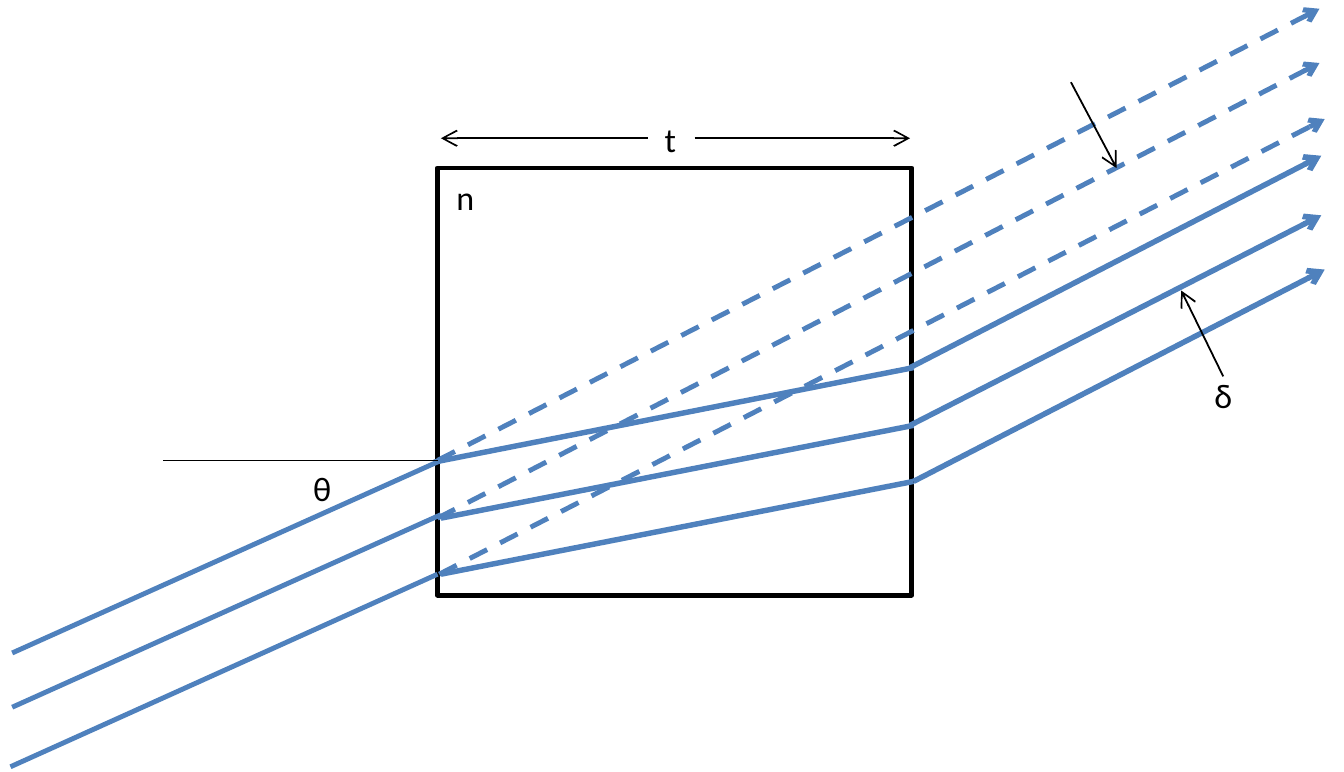
import math
from dataclasses import dataclass

import pptx
import pptx.dml.color
import pptx.enum.dml
import pptx.enum.shapes
import pptx.enum.text
import pptx.oxml.ns
import pptx.util
from lxml import etree
from pptx.util import Inches

COLORS = {"ray": "4F81BD", "ink": "000000", "glass": "FFFFFF"}


@dataclass
class Style:
    color: str
    width: float
    tip: bool = False
    dash: bool = False


@dataclass
class Line:
    x1: float
    y1: float
    x2: float
    y2: float


@dataclass
class Label:
    text: str
    left: float
    top: float
    width: float = 0.31


GROUPS = [
    # undeviated rays
    (Style("ray", 2, tip=True, dash=True), [
        Line(2.5, 2.63, 7.54, 0.05),
        Line(2.5, 2.96, 7.54, 0.36),
        Line(2.51, 3.28, 7.57, 0.68),
    ]),
    # incoming rays
    (Style("ray", 2), [
        Line(0.07, 3.73, 2.52, 2.63),
        Line(0.07, 4.04, 2.52, 2.94),
        Line(0.06, 4.38, 2.5, 3.28),
    ]),
    # rays inside the glass
    (Style("ray", 2.25), [
        Line(2.48, 2.64, 5.22, 2.1),
        Line(2.52, 2.96, 5.22, 2.43),
        Line(2.52, 3.28, 5.22, 2.75),
    ]),
    # outgoing rays
    (Style("ray", 2.25, tip=True), [
        Line(5.2, 2.1, 7.55, 0.89),
        Line(5.2, 2.43, 7.55, 1.23),
        Line(5.22, 2.75, 7.57, 1.54),
    ]),
    # surface normal
    (Style("ink", 0.75), [Line(2.5, 2.63, 0.93, 2.63)]),
    # thickness and shift arrows
    (Style("ink", 0.75, tip=True), [
        Line(3.7, 0.79, 2.52, 0.79),
        Line(3.97, 0.79, 5.2, 0.79),
        Line(6.12, 0.47, 6.38, 0.96),
        Line(6.99, 2.15, 6.75, 1.66),
    ]),
]

LABELS = [
    Label("θ", 1.69, 2.62),
    Label("n", 2.51, 0.96),
    Label("δ", 6.84, 2.09),
    Label("t", 3.7, 0.63, 0.27),
]


def tint(name: str) -> pptx.dml.color.RGBColor:
    return pptx.dml.color.RGBColor.from_string(COLORS[name])


def stroke(shape, style: Style) -> None:
    """Set the outline of a shape or connector."""
    shape.line.color.rgb = tint(style.color)
    shape.line.width = pptx.util.Pt(style.width)
    if style.dash:
        shape.line.dash_style = pptx.enum.dml.MSO_LINE.DASH
    if style.tip:
        qn = pptx.oxml.ns.qn
        edge = shape._element.spPr.find(qn("a:ln"))
        etree.SubElement(edge, qn("a:tailEnd"), type="arrow")


def draw_glass(shapes) -> None:
    glass = shapes.add_shape(
        pptx.enum.shapes.MSO_SHAPE.RECTANGLE,
        Inches(2.5), Inches(0.96), Inches(2.71), Inches(2.44))
    glass.shadow.inherit = False
    glass.fill.solid()
    glass.fill.fore_color.rgb = tint("glass")
    stroke(glass, Style("ink", 2))


def draw_line(shapes, line: Line, style: Style) -> None:
    link = shapes.add_connector(
        pptx.enum.shapes.MSO_CONNECTOR.STRAIGHT,
        Inches(line.x1), Inches(line.y1), Inches(line.x2), Inches(line.y2))
    stroke(link, style)
    etree.SubElement(link._element.spPr, pptx.oxml.ns.qn("a:effectLst"))


def draw_angle(shapes) -> None:
    """Draw the arc from the surface normal to the top incoming ray."""
    x, y, radius, sweep, steps = 2.5, 2.63, 0.53, 23, 12
    turns = [math.radians(sweep * i / steps) for i in range(steps + 1)]
    points = [(x - radius * math.cos(a), y + radius * math.sin(a))
              for a in turns]
    build = shapes.build_freeform(*points[0], scale=float(Inches(1)))
    build.add_line_segments(points[1:], close=False)
    arc = build.convert_to_shape()
    arc.shadow.inherit = False
    arc.fill.background()
    stroke(arc, Style("ink", 1))


def draw_label(shapes, label: Label) -> None:
    box = shapes.add_textbox(Inches(label.left), Inches(label.top),
                             Inches(label.width), Inches(0.34))
    frame = box.text_frame
    frame.word_wrap = False
    frame.auto_size = pptx.enum.text.MSO_AUTO_SIZE.SHAPE_TO_FIT_TEXT
    run = frame.paragraphs[0].add_run()
    run.text = label.text
    run.font.name = "Calibri"
    run.font.size = pptx.util.Pt(14)
    run.font.color.rgb = tint("ink")


def main() -> None:
    deck = pptx.Presentation()
    deck.slide_width = Inches(7.68)
    deck.slide_height = Inches(4.41)
    shapes = deck.slides.add_slide(deck.slide_layouts[6]).shapes
    draw_glass(shapes)
    for style, lines in GROUPS:
        for line in lines:
            draw_line(shapes, line, style)
    draw_angle(shapes)
    for label in LABELS:
        draw_label(shapes, label)
    deck.save("out.pptx")


if __name__ == "__main__":
    main()
